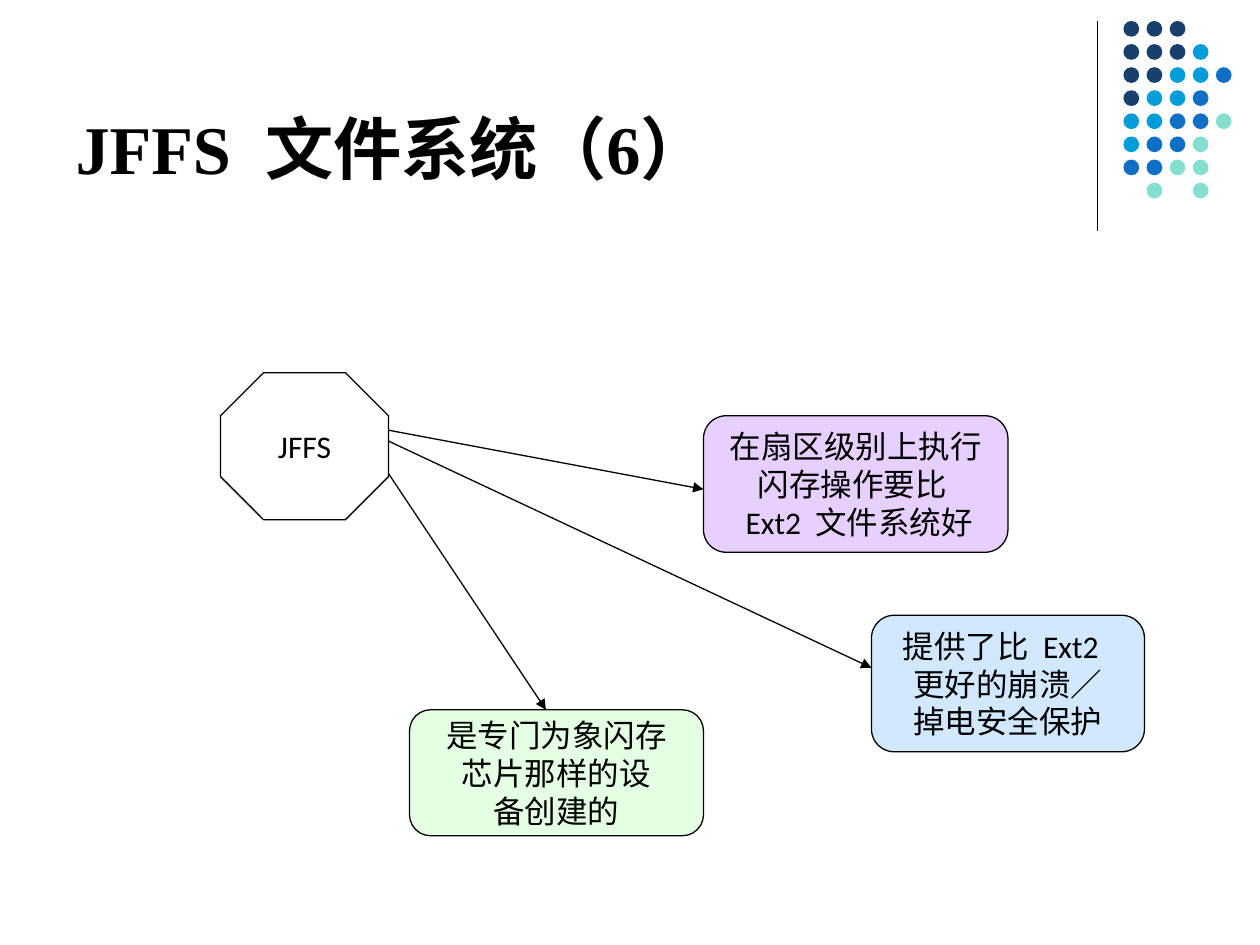
from lxml import etree
from pptx import Presentation, util as u
from pptx.dml.color import RGBColor
from pptx.enum import shapes, text
from pptx.oxml.ns import qn

PX = 7620  # EMU per px: 120 px to the inch
BLACK = RGBColor(0x00, 0x00, 0x00)
WHITE = RGBColor(0xFF, 0xFF, 0xFF)
NAVY = RGBColor(0x17, 0x40, 0x6D)
CYAN = RGBColor(0x00, 0x9D, 0xD9)
BLUE = RGBColor(0x0F, 0x6F, 0xC6)
MINT = RGBColor(0x85, 0xDF, 0xD0)
PURPLE = RGBColor(0xCC, 0x99, 0xFF)
GREEN = RGBColor(0xCC, 0xFF, 0xCC)
SKY = RGBColor(0x99, 0xCC, 0xFF)

# Dot pattern, one letter per dot
DOT_COLORS = {"n": NAVY, "c": CYAN, "b": BLUE, "m": MINT}
DOT_ROWS = ["nnn", "nnnc", "nnccb", "nccb", "ccbbm", "cbbm", "bbmm", ".m.m"]


def write(tf, lines, font="Calibri", size=18, bold=False,
          align=text.PP_ALIGN.CENTER, anchor=text.MSO_ANCHOR.MIDDLE, wrap=False):
    """Fill a text frame with one paragraph per line."""
    tf.word_wrap = wrap
    tf.auto_size = text.MSO_AUTO_SIZE.NONE
    tf.vertical_anchor = anchor
    for i, line in enumerate(lines):
        p = tf.paragraphs[0] if i == 0 else tf.add_paragraph()
        p.alignment = align
        r = p.add_run()
        r.text = line
        r.font.name, r.font.size, r.font.bold = font, u.Pt(size), bold
        r.font.color.rgb = BLACK


class Deck:
    line_width = u.Pt(0.75)

    def __init__(self, prs):
        self.s = prs.slides.add_slide(prs.slide_layouts[5])

    def title(self, words, *box):
        sp = self.s.shapes.title
        sp.left, sp.top, sp.width, sp.height = (v * PX for v in box)
        write(sp.text_frame, [words], font="Times New Roman", size=39, bold=True,
              align=text.PP_ALIGN.LEFT, anchor=text.MSO_ANCHOR.BOTTOM, wrap=True)

    def dots(self, left, top, pitch, size):
        group = self.s.shapes.add_group_shape()
        for row, marks in enumerate(DOT_ROWS):
            for col, mark in enumerate(marks):
                if mark in DOT_COLORS:
                    sp = group.shapes.add_shape(
                        shapes.MSO_SHAPE.OVAL, (left + col * pitch) * PX,
                        (top + row * pitch) * PX, size * PX, size * PX)
                    sp.shadow.inherit = False
                    sp.fill.solid()
                    sp.fill.fore_color.rgb = DOT_COLORS[mark]
                    sp.line.fill.background()

    def node(self, kind, box, lines, fill, adj, alpha=100):
        sp = self.s.shapes.add_shape(kind, *(v * PX for v in box))
        sp.adjustments[0] = adj
        sp.shadow.inherit = False
        sp.fill.solid()
        sp.fill.fore_color.rgb = fill
        if alpha < 100:
            clr = sp.fill._xPr.find(qn("a:solidFill"))[0]
            etree.SubElement(clr, qn("a:alpha"), val=str(alpha * 1000))
        sp.line.color.rgb = BLACK
        sp.line.width = self.line_width
        write(sp.text_frame, lines)

    def line(self, start, end, arrow=False):
        cx = self.s.shapes.add_connector(
            shapes.MSO_CONNECTOR.STRAIGHT, *(v * PX for v in start + end))
        cx.line.color.rgb = BLACK
        cx.line.width = self.line_width
        if arrow:
            etree.SubElement(cx.line._get_or_add_ln(), qn("a:tailEnd"), type="triangle")
        etree.SubElement(cx._element.spPr, qn("a:effectLst"))


def main():
    prs = Presentation()
    prs.slide_width, prs.slide_height = 1200 * PX, 900 * PX
    d = Deck(prs)

    # Corner decoration and title
    d.line((1045, 20), (1045, 220))
    d.dots(1070, 20, pitch=22, size=15)
    d.title("JFFS  文件系统（6）", 60, 15, 990, 170)

    # Feature boxes
    features = [
        ((670, 396, 290, 130), PURPLE, 47,
         ["在扇区级别上执行", "闪存操作要比 ", " Ext2  文件系统好"]),
        ((390, 676, 280, 120), GREEN, 53,
         ["是专门为象闪存", "芯片那样的设", "备创建的"]),
        ((830, 586, 260, 130), SKY, 45,
         ["提供了比  Ext2  ", "更好的崩溃／", "掉电安全保护"]),
    ]
    for box, fill, alpha, lines in features:
        d.node(shapes.MSO_SHAPE.ROUNDED_RECTANGLE, box, lines, fill, 0.167, alpha)

    # Arrows run from under the hub to each box
    for start, end in [((350, 406), (670, 466)), ((340, 406), (830, 636)),
                       ((340, 406), (520, 676))]:
        d.line(start, end, arrow=True)

    # Hub
    d.node(shapes.MSO_SHAPE.OCTAGON, (210, 355, 160, 140), ["JFFS"], WHITE, 0.293)

    prs.save("out.pptx")


if __name__ == "__main__":
    main()
